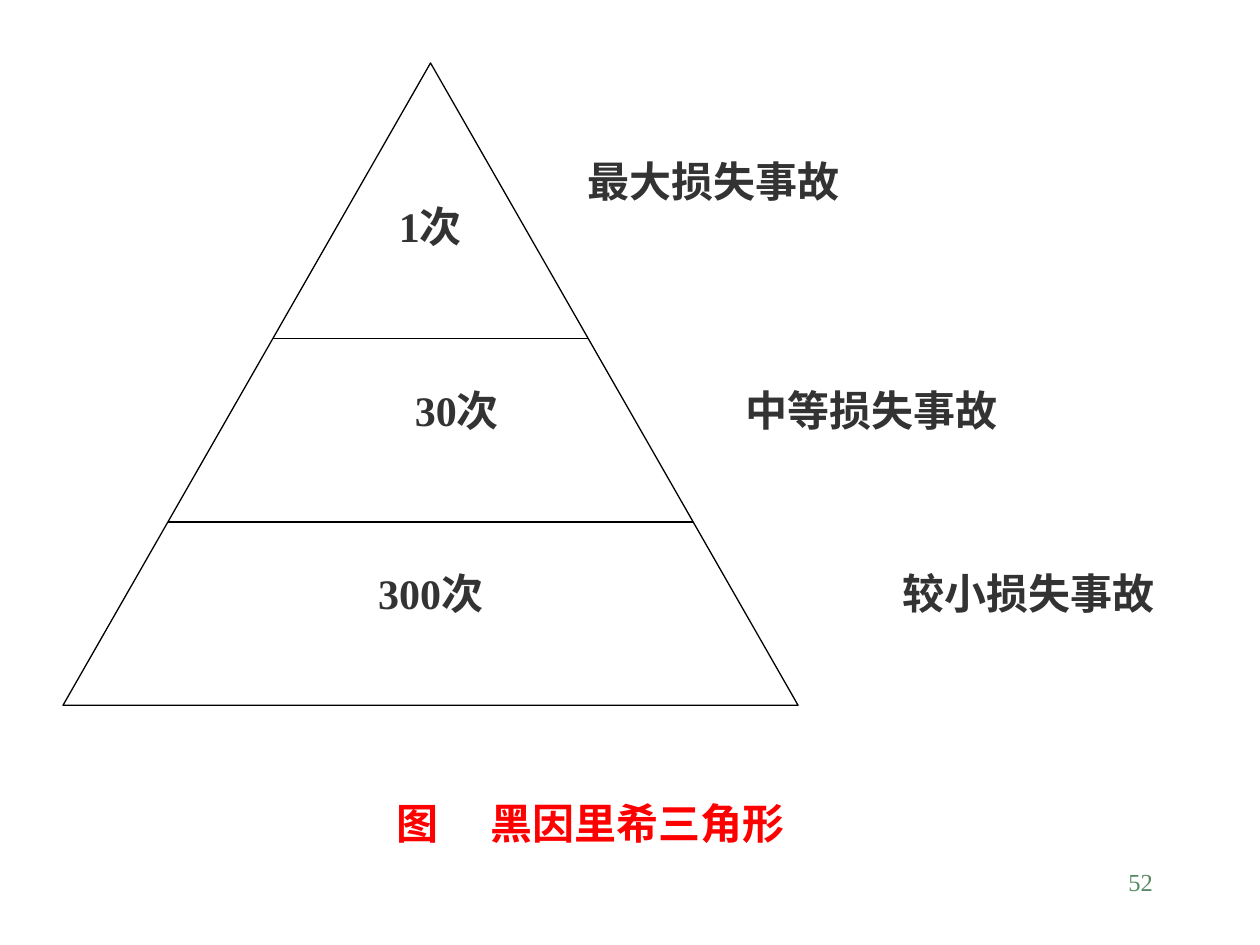
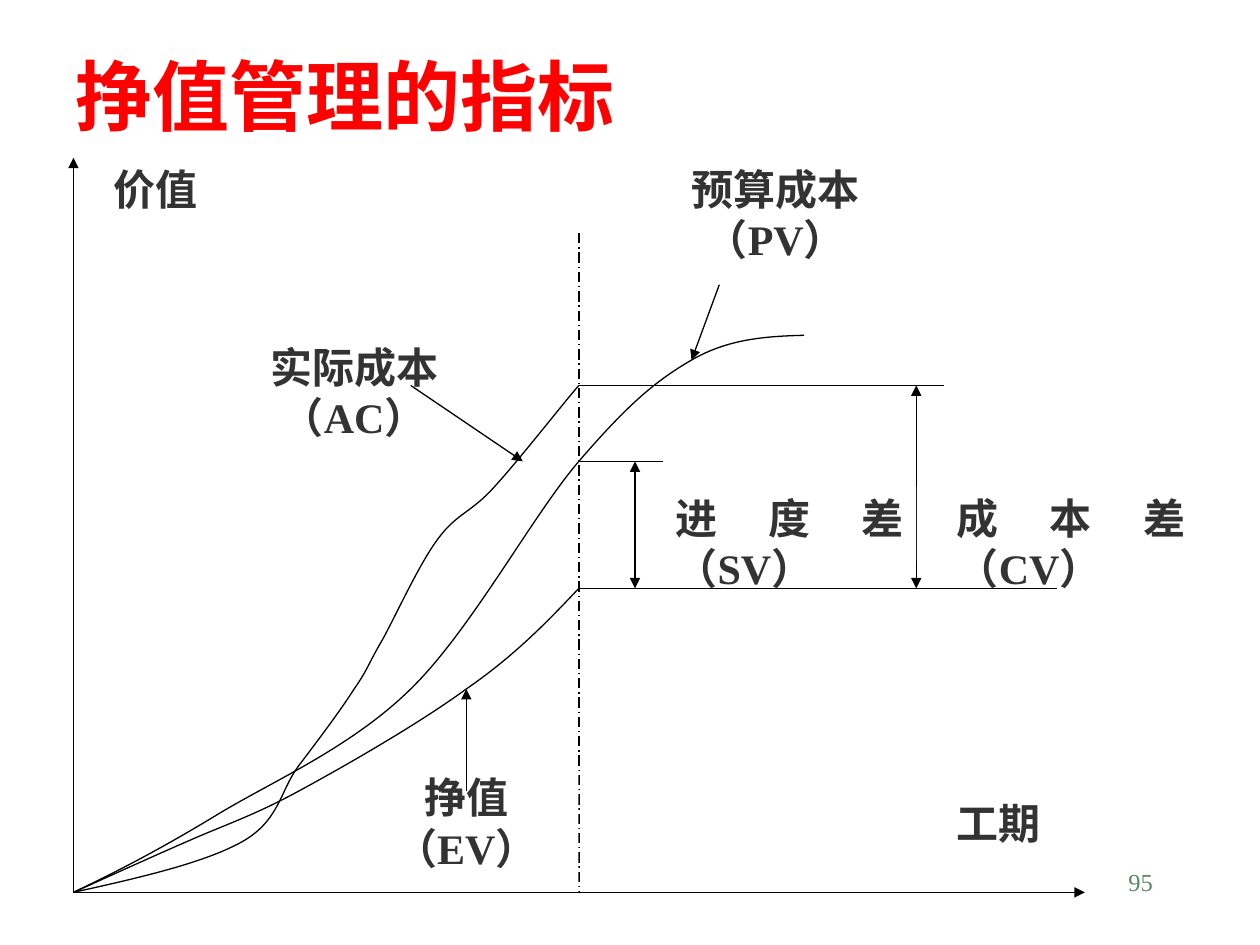
from lxml import etree
from pptx import Presentation
from pptx import util as u
from pptx.dml.color import RGBColor
from pptx.enum import dml, shapes, text
from pptx.oxml import ns

Cm, Pt = u.Cm, u.Pt
BLACK = RGBColor(0x00, 0x00, 0x00)
WHITE = RGBColor(0xFF, 0xFF, 0xFF)
INK = RGBColor(0x33, 0x33, 0x33)
RED = RGBColor(0xFF, 0x00, 0x00)
GREEN = RGBColor(0x57, 0x89, 0x63)
LATIN = "Times New Roman"
CJK = "Noto Sans CJK SC"
LINE_WIDTH = Pt(0.75)
CENTER = text.PP_ALIGN.CENTER
JUSTIFY = text.PP_ALIGN.JUSTIFY

ORIGIN_X, ORIGIN_Y = 1.48, 17.99
STATUS_X = 11.67
AC_Y, PV_Y, EV_Y = 7.77, 9.3, 11.86
ORIGIN = (ORIGIN_X, ORIGIN_Y)

PLANNED = [
    ORIGIN, (2.34, 17.58), (3.18, 17.15), (4.32, 16.46),
    (5.44, 15.77), (7.06, 15.09), (8.28, 13.89),
    (9.5, 12.7), (10.72, 10.41), (STATUS_X, PV_Y),
    (12.62, 8.2), (13.18, 7.7), (13.94, 7.26),
    (14.68, 6.83), (15.44, 6.78), (16.21, 6.76),
]
EARNED = [
    ORIGIN, (2.24, 17.65), (3, 17.3), (3.76, 16.97),
    (4.5, 16.64), (5.08, 16.46), (6.02, 15.95),
    (6.96, 15.44), (8.46, 14.58), (9.4, 13.89),
    (10.36, 13.23), (11.02, 12.55), (STATUS_X, EV_Y),
]
ACTUAL = [
    ORIGIN, (2.79, 17.7), (4.11, 17.4), (4.88, 16.97),
    (5.64, 16.54), (5.64, 15.95), (6.02, 15.44),
    (6.4, 14.94), (6.86, 14.33), (7.14, 13.89),
    (7.42, 13.49), (7.42, 13.39), (7.72, 12.88),
    (8, 12.37), (8.46, 11.35), (8.84, 10.85),
    (9.22, 10.34), (9.5, 10.34), (9.98, 9.8),
    (10.44, 9.3), (11.38, 8.1), (STATUS_X, AC_Y),
]


def add_run(paragraph, words, size, color, bold=True, latin=LATIN):
    run = paragraph.add_run()
    run.text = words
    run.font.size = Pt(size)
    run.font.bold = bold
    run.font.color.rgb = color
    run.font.name = latin
    east_asian = etree.SubElement(run.font._element, ns.qn("a:ea"))
    east_asian.set("typeface", CJK)
    return run


def set_outline(line):
    line.color.rgb = BLACK
    line.width = LINE_WIDTH


def add_panel(slide, box, inset):
    panel = slide.shapes.add_shape(
        shapes.MSO_SHAPE.RECTANGLE, *(Cm(length) for length in box))
    panel.shadow.inherit = False
    panel.fill.solid()
    panel.fill.fore_color.rgb = WHITE
    panel.line.fill.background()
    frame = panel.text_frame
    frame.word_wrap = True
    frame.vertical_anchor = text.MSO_ANCHOR.TOP
    side, top = inset
    frame.margin_left = frame.margin_right = Cm(side)
    frame.margin_top = frame.margin_bottom = Cm(top)
    return frame


def format_paragraph(paragraph, align):
    paragraph.alignment = align
    paragraph.line_spacing = Pt(28.6)


def add_label(slide, box, lines, align, inset=(0.25, 0.13)):
    frame = add_panel(slide, box, inset)
    for index, words in enumerate(lines):
        paragraph = frame.paragraphs[0] if index == 0 else frame.add_paragraph()
        format_paragraph(paragraph, align)
        add_run(paragraph, words, 24, INK)


def add_caption(slide, box, prefix, name):
    frame = add_panel(slide, box, (0, 0))
    frame.margin_left = Cm(2.5)
    paragraph = frame.paragraphs[0]
    format_paragraph(paragraph, CENTER)
    add_run(paragraph, prefix, 24, RED)
    gap = add_run(paragraph, " ", 24, RED)
    gap.font._element.set("spc", "2400")
    add_run(paragraph, name, 24, RED)


def add_line(slide, start, end, head=False, tail=False, dash=None):
    connector = slide.shapes.add_connector(
        shapes.MSO_CONNECTOR.STRAIGHT, *(Cm(length) for length in start + end))
    set_outline(connector.line)
    if dash:
        connector.line.dash_style = dash
    outline = connector.line._get_or_add_ln()
    for tag, wanted in (("a:headEnd", head), ("a:tailEnd", tail)):
        if wanted:
            etree.SubElement(outline, ns.qn(tag)).set("type", "triangle")
    etree.SubElement(connector._element.spPr, ns.qn("a:effectLst"))


def add_curve(slide, controls):
    start, *others = [(Cm(x), Cm(y)) for x, y in controls]
    builder = slide.shapes.build_freeform(*start)
    builder.add_line_segments(others, close=False)
    curve = builder.convert_to_shape()
    curve.shadow.inherit = False
    curve.fill.background()
    set_outline(curve.line)

    track = curve._element.find(".//" + ns.qn("a:path"))
    segments = track.findall(ns.qn("a:lnTo"))
    for first in range(0, len(segments), 3):
        bezier = etree.SubElement(track, ns.qn("a:cubicBezTo"))
        for segment in segments[first:first + 3]:
            bezier.append(segment[0])
            track.remove(segment)


def add_page_number(slide, number):
    footer = slide.shapes.add_textbox(Cm(18.21), Cm(17.35), Cm(5.28), Cm(1.27))
    footer.text_frame.word_wrap = True
    paragraph = footer.text_frame.paragraphs[0]
    paragraph.alignment = text.PP_ALIGN.RIGHT
    add_run(paragraph, number, 14, GREEN, bold=False)


def set_title(slide, words):
    title = slide.shapes.title
    title.left, title.top = Cm(1.27), Cm(1.05)
    title.width, title.height = Cm(23.29), Cm(1.7)
    frame = title.text_frame
    frame.auto_size = text.MSO_AUTO_SIZE.NONE
    frame.vertical_anchor = text.MSO_ANCHOR.MIDDLE
    paragraph = frame.paragraphs[0]
    paragraph.alignment = text.PP_ALIGN.LEFT
    add_run(paragraph, words, 44, RED, latin=CJK)


def build_accident_triangle(deck):
    slide = deck.slides.add_slide(deck.slide_layouts[6])
    left, top, width, height = 1.27, 1.27, 14.82, 12.95
    triangle = slide.shapes.add_shape(
        shapes.MSO_SHAPE.ISOSCELES_TRIANGLE, Cm(left), Cm(top), Cm(width), Cm(height))
    triangle.shadow.inherit = False
    triangle.fill.solid()
    triangle.fill.fore_color.rgb = WHITE
    set_outline(triangle.line)

    apex_x = left + width / 2
    for share in (3 / 7, 5 / 7):
        level = top + height * share
        reach = width / 2 * share
        add_line(slide, (apex_x - reach, level), (apex_x + reach, level))

    severities = [
        ("最大损失事故", 11.85, 3.15),
        ("中等损失事故", 15.03, 7.75),
        ("较小损失事故", 18.2, 11.44),
    ]
    for words, x, y in severities:
        add_label(slide, (x, y, 6.35, 1.83), [words], JUSTIFY, (0, 0))

    counts = [
        ("1次", 7.62, 4.04, 2.11),
        ("30次", 7.62, 7.75, 3.18),
        ("300次", 6.56, 11.44, 4.24),
    ]
    for words, x, y, count_width in counts:
        add_label(slide, (x, y, count_width, 1.85), [words], CENTER, (0, 0))

    add_caption(slide, (2.06, 16.08, 17.2, 1.83), "图", "黑因里希三角形")
    add_page_number(slide, "52")


def build_earned_value(deck):
    slide = deck.slides.add_slide(deck.slide_layouts[5])
    set_title(slide, "挣值管理的指标")

    for axis_end in ((21.87, ORIGIN_Y), (ORIGIN_X, 3.18)):
        add_line(slide, ORIGIN, axis_end, tail=True)
    for cost_curve in (PLANNED, EARNED, ACTUAL):
        add_curve(slide, cost_curve)
    add_line(slide, (STATUS_X, 4.7), (STATUS_X, ORIGIN_Y),
             dash=dml.MSO_LINE.LONG_DASH_DOT)

    callouts = [
        ("预算成本", "（PV）", 13.38, 3.18, (14.5, 5.74), (13.94, 7.26)),
        ("挣值", "（EV）", 7.14, 15.44, (9.4, 15.95), (9.4, 13.89)),
        ("实际成本", "（AC）", 4.88, 6.76, (8.28, 7.77), (10.54, 9.3)),
    ]
    for name, symbol, x, y, arrow_start, arrow_end in callouts:
        add_label(slide, (x, y, 4.52, 2.54), [name, symbol], CENTER)
        add_line(slide, arrow_start, arrow_end, tail=True)

    for level, level_end in ((AC_Y, 19.02), (PV_Y, 13.36), (EV_Y, 21.31)):
        add_line(slide, (STATUS_X, level), (level_end, level))
    for variance_x, level in ((18.47, AC_Y), (12.8, PV_Y)):
        add_line(slide, (variance_x, EV_Y), (variance_x, level), head=True, tail=True)

    notes = [
        ("进度差（SV）", 13.37, 9.8, 5.1),
        ("成本差（CV）", 19.04, 9.8, 5.1),
        ("工期", 19.04, 15.95, 2.26),
        ("价值", 2.04, 3.18, 2.26),
    ]
    for words, x, y, note_width in notes:
        add_label(slide, (x, y, note_width, 1.52), [words], JUSTIFY)
    add_page_number(slide, "95")


def main():
    deck = Presentation()
    deck.slide_width, deck.slide_height = Cm(25.4), Cm(19.05)
    build_accident_triangle(deck)
    build_earned_value(deck)
    deck.save("out.pptx")


if __name__ == "__main__":
    main()
